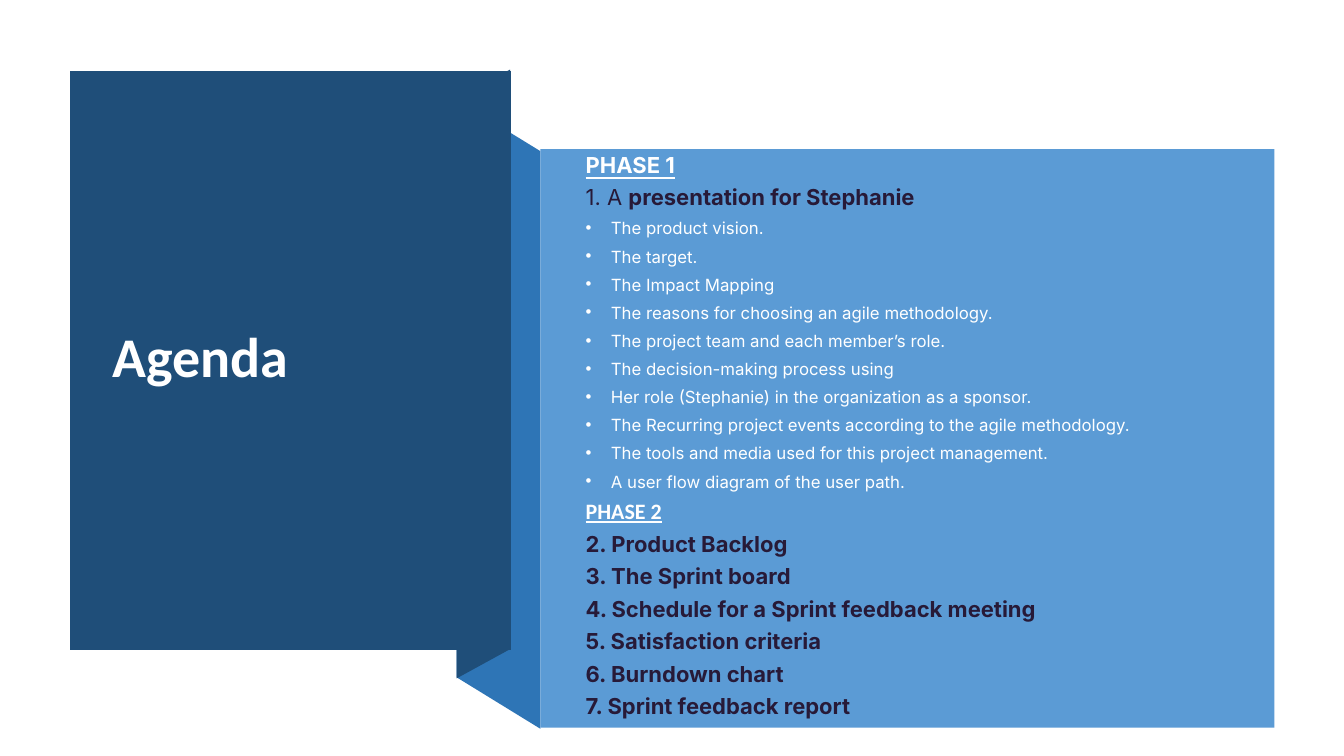
import dataclasses

import lxml.etree
import pptx
import pptx.dml.color
import pptx.enum.shapes
import pptx.enum.text
import pptx.oxml.ns
import pptx.util

EMU_PER_PX = 9144


@dataclasses.dataclass(frozen=True)
class Theme:
    navy: str = "1F4E79"
    blue: str = "2E75B6"
    sky: str = "5B9BD5"
    white: str = "FFFFFF"
    plum: str = "271A38"
    title_font: str = "Calibri"
    body_font: str = "Inter"
    title_size: float = 40
    heading_size: float = 15.7
    bullet_size: float = 12
    space_before: float = 10


THEME = Theme()


@dataclasses.dataclass(frozen=True)
class Style:
    size: float
    color: str
    font: str = THEME.body_font
    bold: bool = False
    underline: bool = False


@dataclasses.dataclass(frozen=True)
class Span:
    text: str
    style: Style


@dataclasses.dataclass(frozen=True)
class Line:
    spans: tuple[Span, ...]
    bulleted: bool = False


@dataclasses.dataclass(frozen=True)
class Panel:
    color: str
    points: tuple[tuple[int, int], ...]


TITLE = Style(THEME.title_size, THEME.white, THEME.title_font, bold=True)
PHASE_ONE = Style(THEME.heading_size, THEME.white, bold=True, underline=True)
PHASE_TWO = dataclasses.replace(PHASE_ONE, font=THEME.title_font)
TOPIC = Style(THEME.heading_size, THEME.plum, bold=True)
TOPIC_LEAD = dataclasses.replace(TOPIC, bold=False)
BULLET = Style(THEME.bullet_size, THEME.white)

PANELS = (
    Panel(THEME.blue, ((536, 723), (453, 672), (453, 99), (536, 150))),
    Panel(THEME.navy, ((506, 644), (453, 673), (453, 98), (506, 69))),
    Panel(THEME.navy, ((69, 70), (507, 70), (507, 645), (69, 645))),
    Panel(THEME.sky, ((536, 148), (1264, 148), (1264, 722), (536, 722))),
)

PRESENTATION_POINTS = (
    "The product vision.",
    "The target.",
    "The Impact Mapping",
    "The reasons for choosing an agile methodology.",
    "The project team and each member’s role.",
    "The decision-making process using",
    "Her role (Stephanie) in the organization as a sponsor.",
    "The Recurring project events according to the agile methodology.",
    "The tools and media used for this project management.",
    "A user flow diagram of the user path.",
)

PHASE_TWO_TOPICS = (
    "Product Backlog",
    "The Sprint board",
    "Schedule for a Sprint feedback meeting",
    "Satisfaction criteria",
    "Burndown chart",
    "Sprint feedback report",
)

AGENDA = (
    Line((Span("PHASE 1", PHASE_ONE),)),
    Line((Span("1. A ", TOPIC_LEAD), Span("presentation for Stephanie", TOPIC))),
    *(Line((Span(text, BULLET),), bulleted=True) for text in PRESENTATION_POINTS),
    Line((Span("PHASE 2", PHASE_TWO),)),
    *(
        Line((Span(f"{number}. {text}", TOPIC),))
        for number, text in enumerate(PHASE_TWO_TOPICS, start=2)
    ),
)


def px(length: int) -> pptx.util.Emu:
    return pptx.util.Emu(length * EMU_PER_PX)


def rgb(color: str) -> pptx.dml.color.RGBColor:
    return pptx.dml.color.RGBColor.from_string(color)


def draw_panel(page, panel: Panel) -> None:
    if panel.color == THEME.sky:
        left, top = panel.points[0]
        right, bottom = panel.points[2]
        shape = page.shapes.add_shape(
            pptx.enum.shapes.MSO_SHAPE.RECTANGLE,
            px(left), px(top), px(right - left), px(bottom - top),
        )
    else:
        outline = page.shapes.build_freeform(*panel.points[0], scale=EMU_PER_PX)
        outline.add_line_segments(panel.points[1:], close=True)
        shape = outline.convert_to_shape()
    shape.shadow.inherit = False
    shape.fill.solid()
    shape.fill.fore_color.rgb = rgb(panel.color)
    shape.line.fill.background()


def add_bullet(para) -> None:
    properties = para._p.get_or_add_pPr()
    properties.set("marL", str(px(25)))
    properties.set("indent", str(px(-25)))
    for tag, name, value in (("a:buFont", "typeface", "Arial"), ("a:buChar", "char", "•")):
        element = lxml.etree.SubElement(properties, pptx.oxml.ns.qn(tag))
        element.set(name, value)


def format_span(run, style: Style) -> None:
    run.font.name = style.font
    run.font.size = pptx.util.Pt(style.size)
    run.font.bold = style.bold
    run.font.underline = style.underline
    run.font.color.rgb = rgb(style.color)


def draw_text(
    page, left: int, top: int, width: int, height: int,
    lines: tuple[Line, ...], line_spacing: float,
) -> None:
    box = page.shapes.add_textbox(px(left), px(top), px(width), px(height))
    frame = box.text_frame
    frame.word_wrap = True
    frame.vertical_anchor = pptx.enum.text.MSO_ANCHOR.MIDDLE
    for index, line in enumerate(lines):
        para = frame.add_paragraph() if index else frame.paragraphs[0]
        if line.bulleted:
            add_bullet(para)
        para.line_spacing = line_spacing
        para.space_before = pptx.util.Pt(THEME.space_before if index else 0)
        for span in line.spans:
            run = para.add_run()
            run.text = span.text
            format_span(run, span.style)


def main() -> None:
    deck = pptx.Presentation()
    deck.slide_width, deck.slide_height = px(1333), px(750)
    page = deck.slides.add_slide(deck.slide_layouts[6])
    for panel in PANELS:
        draw_panel(page, panel)
    draw_text(page, 102, 107, 371, 499, (Line((Span("Agenda", TITLE),)),), 0.9)
    draw_text(page, 571, 148, 651, 574, AGENDA, 0.7)
    deck.save("out.pptx")


if __name__ == "__main__":
    main()
